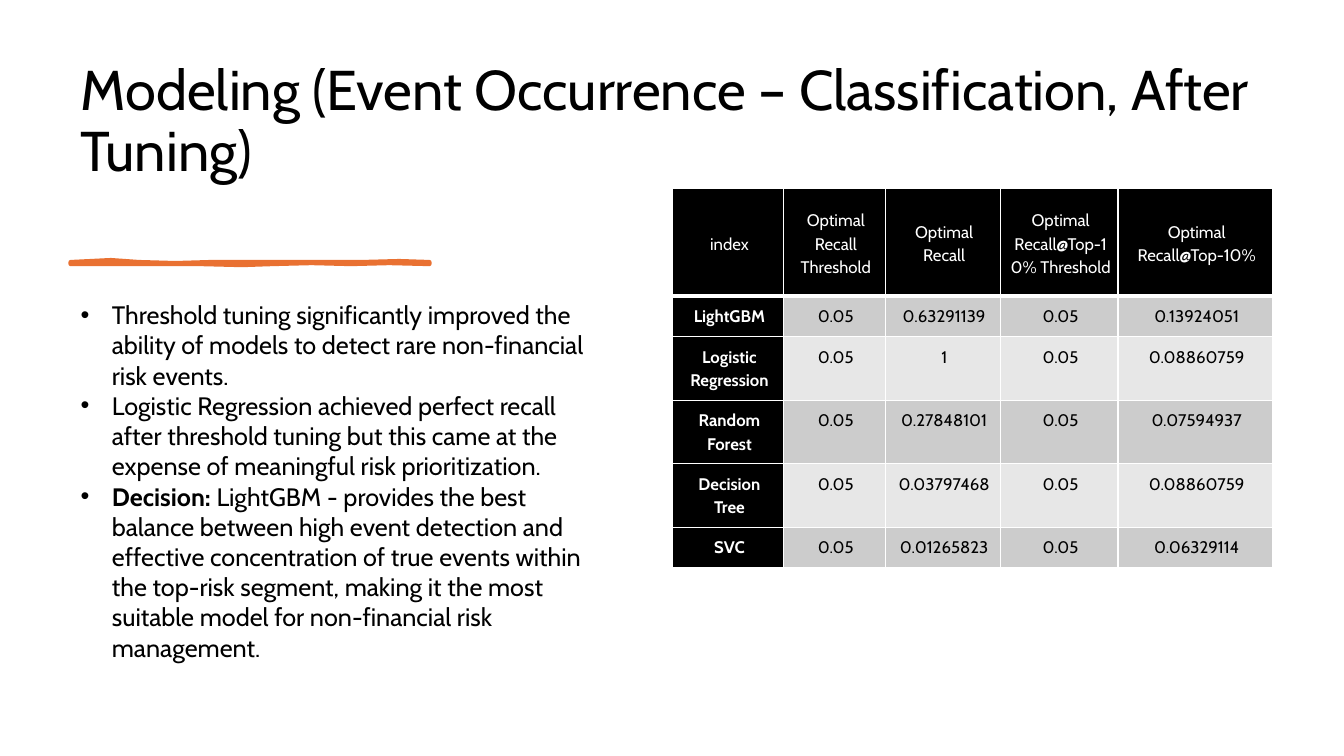
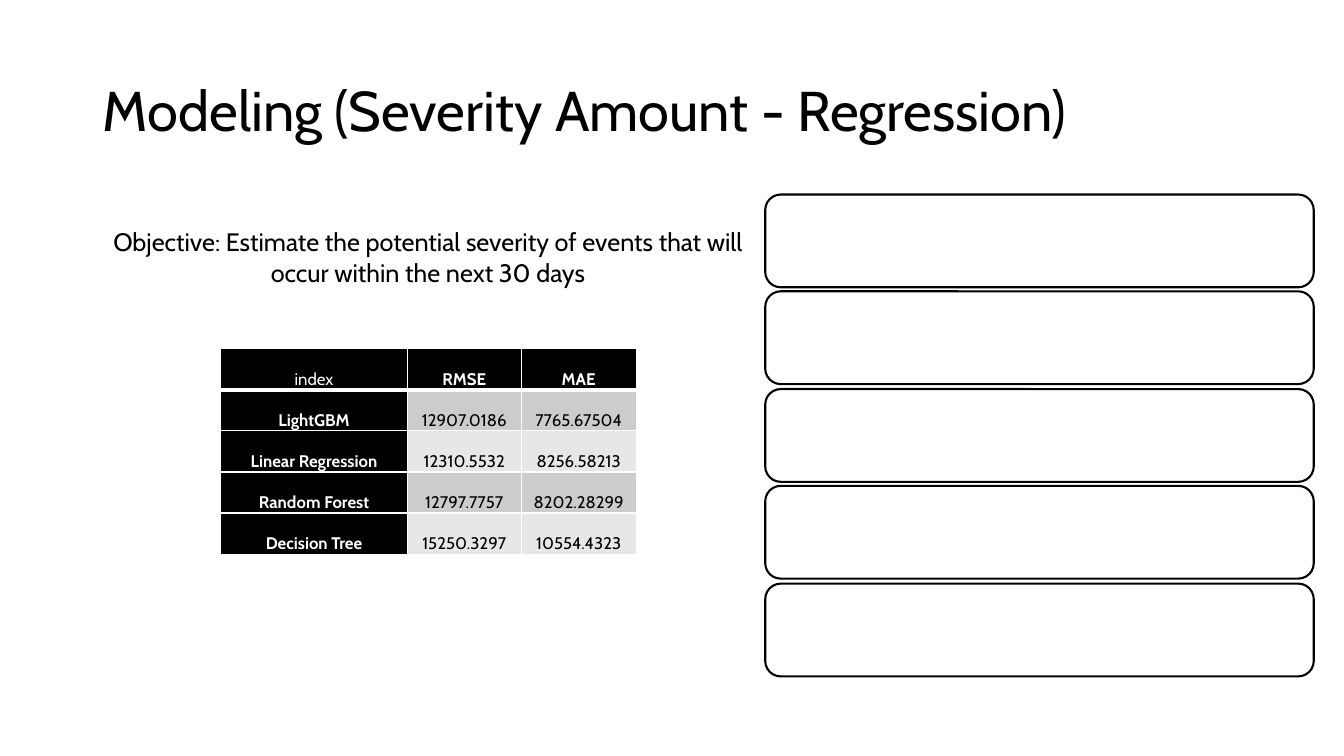
from dataclasses import dataclass
from typing import Any

import lxml.etree
import pptx
import pptx.dml.color
import pptx.enum.shapes
import pptx.enum.text
import pptx.oxml.ns
import pptx.util

PX = 9144
FONT = "Cabin"
BLACK, WHITE, ORANGE = "000000", "FFFFFF", "E97132"
BANDS = ("CCCCCC", "E7E7E7")
ALIGN = pptx.enum.text.PP_ALIGN
ANCHOR = pptx.enum.text.MSO_ANCHOR
SHAPES = pptx.enum.shapes.MSO_SHAPE
FIXED_TEXT = {"word_wrap": True, "auto_size": pptx.enum.text.MSO_AUTO_SIZE.NONE}


@dataclass(frozen=True)
class Area:
    left: int
    top: int
    width: int
    height: int

    def emu(self) -> list[int]:
        return [px(value) for value in (self.left, self.top, self.width, self.height)]


@dataclass(frozen=True)
class Span:
    text: str
    bold: bool = False


@dataclass(frozen=True)
class Grid:
    area: Area
    columns: list[int]
    heights: list[int]
    margins: tuple[int, int, int, int]
    line_spacing: float
    header_anchor: Any
    header_bold: bool
    rows: list[list[str]]


BULLETS = [
    [Span("Threshold tuning significantly improved the ability of models to detect rare "
          "non-financial risk events.")],
    [Span("Logistic Regression achieved perfect recall after threshold tuning but this came "
          "at the expense of meaningful risk prioritization.")],
    [Span("Decision: ", True),
     Span("LightGBM - provides the best balance between high event detection and effective "
          "concentration of true events within the top-risk segment, making it the most "
          "suitable model for non-financial risk management.")],
]

CLASSIFICATION = Grid(
    Area(667, 187, 595, 376), [110, 101, 114, 117, 153], [107, 40, 63, 63, 63, 40],
    (9, 7, 6, 7), 1.15, ANCHOR.MIDDLE, False,
    [
        ["index", "Optimal Recall Threshold", "Optimal Recall",
         "Optimal Recall@Top-10% Threshold", "Optimal Recall@Top-10%"],
        ["LightGBM", "0.05", "0.63291139", "0.05", "0.13924051"],
        ["Logistic Regression", "0.05", "1", "0.05", "0.08860759"],
        ["Random Forest", "0.05", "0.27848101", "0.05", "0.07594937"],
        ["Decision Tree", "0.05", "0.03797468", "0.05", "0.08860759"],
        ["SVC", "0.05", "0.01265823", "0.05", "0.06329114"],
    ],
)

REGRESSION = Grid(
    Area(219, 346, 412, 172), [185, 113, 114], [22] * 5,
    (7, 0, 7, 0), 2.0, ANCHOR.TOP, True,
    [
        ["index", "RMSE", "MAE"],
        ["LightGBM", "12907.0186", "7765.67504"],
        ["Linear Regression", "12310.5532", "8256.58213"],
        ["Random Forest", "12797.7757", "8202.28299"],
        ["Decision Tree", "15250.3297", "10554.4323"],
    ],
)

STROKE = [
    (70, 260), (110, 258), (138, 260), (174, 261), (209, 260), (248, 260), (284, 260),
    (324, 260), (359, 260), (396, 259), (426, 260), (426, 262), (386, 261), (348, 262),
    (309, 261), (270, 262), (240, 263), (199, 262), (149, 262), (70, 262),
]


def px(value: int) -> int:
    return value * PX


def colour(value: str) -> pptx.dml.color.RGBColor:
    return pptx.dml.color.RGBColor.from_string(value)


def apply(target: Any, formats: dict[str, Any]) -> None:
    for name, value in formats.items():
        setattr(target, name, value)


def paint(target: Any, value: str) -> None:
    target.fill.solid()
    target.fill.fore_color.rgb = colour(value)


def style_shape(shape: Any, fill: str, line: str, points: float) -> None:
    shape.shadow.inherit = False
    paint(shape, fill)
    shape.line.color.rgb = colour(line)
    shape.line.width = pptx.util.Pt(points)


def write(para: Any, spans: list[Span], size: int, shade: str = BLACK, **formats: Any) -> None:
    apply(para, {"space_before": pptx.util.Pt(0), **formats})
    for span in spans:
        run = para.add_run()
        run.text = span.text
        apply(run.font, {"name": FONT, "size": pptx.util.Pt(size), "bold": span.bold})
        run.font.color.rgb = colour(shade)


def place(shape: Any, area: Area) -> None:
    apply(shape, dict(zip(("left", "top", "width", "height"), area.emu())))


def add_title(page: Any, text: str, area: Area, anchor: Any) -> None:
    title = page.shapes.title
    place(title, area)
    apply(title.text_frame, {**FIXED_TEXT, "vertical_anchor": anchor})
    write(title.text_frame.paragraphs[0], [Span(text)], 40,
          alignment=ALIGN.LEFT, line_spacing=0.9)


def add_bullet(para: Any, indent: int) -> None:
    properties = para._p.get_or_add_pPr()
    properties.set("marL", str(px(indent)))
    properties.set("indent", str(-px(indent)))
    for tag, name, value in (("a:buFont", "typeface", "Arial"), ("a:buChar", "char", "•")):
        element = lxml.etree.SubElement(properties, pptx.oxml.ns.qn(tag))
        element.set(name, value)


def add_list(page: Any, items: list[list[Span]], area: Area) -> None:
    body = page.placeholders[1]
    place(body, area)
    frame = body.text_frame
    apply(frame, {**FIXED_TEXT, "vertical_anchor": ANCHOR.TOP})
    for index, spans in enumerate(items):
        para = frame.add_paragraph() if index else frame.paragraphs[0]
        add_bullet(para, 31)
        write(para, spans, 18, alignment=ALIGN.LEFT)


def add_border(cell: Any, side: str, points: float) -> None:
    qn = pptx.oxml.ns.qn
    line = lxml.etree.SubElement(cell._tc.get_or_add_tcPr(), qn(f"a:ln{side}"))
    line.set("w", str(pptx.util.Pt(points)))
    fill = lxml.etree.SubElement(line, qn("a:solidFill"))
    lxml.etree.SubElement(fill, qn("a:srgbClr")).set("val", WHITE)


def format_cell(cell: Any, grid: Grid, row: int, column: int) -> None:
    header = row == 0
    dark = header or column == 0
    widths = {"L": 1, "R": 1, "T": 3 if row == 1 else 1, "B": 3 if header else 1}
    for side, points in widths.items():
        add_border(cell, side, points)
    paint(cell, BLACK if dark else BANDS[(row - 1) % 2])
    sides = ("margin_left", "margin_top", "margin_right", "margin_bottom")
    apply(cell, dict(zip(sides, map(px, grid.margins))))
    cell.vertical_anchor = grid.header_anchor if header else ANCHOR.TOP
    bold = (grid.header_bold and column > 0) if header else column == 0
    write(cell.text_frame.paragraphs[0], [Span(grid.rows[row][column], bold)], 12,
          WHITE if dark else BLACK, alignment=ALIGN.CENTER, line_spacing=grid.line_spacing)


def add_grid(page: Any, grid: Grid) -> None:
    holder = page.shapes.add_table(len(grid.heights), len(grid.columns), *grid.area.emu())
    table = holder.table
    for column, width in zip(table.columns, grid.columns):
        column.width = px(width)
    for row, height in zip(table.rows, grid.heights):
        row.height = px(height)
    place(holder, grid.area)
    for row in range(len(grid.heights)):
        for column in range(len(grid.columns)):
            format_cell(table.cell(row, column), grid, row, column)


def add_stroke(page: Any) -> None:
    builder = page.shapes.build_freeform(*STROKE[0], scale=float(PX))
    builder.add_line_segments(STROKE[1:], close=True)
    style_shape(builder.convert_to_shape(), ORANGE, ORANGE, 3)


def add_panel(page: Any, area: Area) -> None:
    panel = page.shapes.add_shape(SHAPES.ROUNDED_RECTANGLE, *area.emu())
    style_shape(panel, WHITE, BLACK, 1.5)


def build_classification(deck: Any) -> None:
    page = deck.slides.add_slide(deck.slide_layouts[1])
    add_title(page, "Modeling (Event Occurrence – Classification, After Tuning)",
              Area(70, 25, 1194, 162), ANCHOR.BOTTOM)
    add_stroke(page)
    add_grid(page, CLASSIFICATION)
    add_list(page, BULLETS, Area(70, 292, 527, 404))


def build_regression(deck: Any) -> None:
    page = deck.slides.add_slide(deck.slide_layouts[5])
    add_title(page, "Modeling (Severity Amount - Regression)",
              Area(92, 40, 1150, 145), ANCHOR.MIDDLE)
    objective = page.shapes.add_textbox(*Area(91, 220, 667, 71).emu())
    apply(objective.text_frame, FIXED_TEXT)
    write(objective.text_frame.paragraphs[0],
          [Span("Objective: Estimate the potential severity of events that will occur "
                "within the next 30 days")], 18, alignment=ALIGN.CENTER)
    add_grid(page, REGRESSION)
    for index in range(5):
        add_panel(page, Area(759, 193 + index * 193 // 2, 544, 92))


def main() -> None:
    deck = pptx.Presentation()
    apply(deck, {"slide_width": px(1333), "slide_height": px(750)})
    build_classification(deck)
    build_regression(deck)
    deck.save("out.pptx")


if __name__ == "__main__":
    main()
